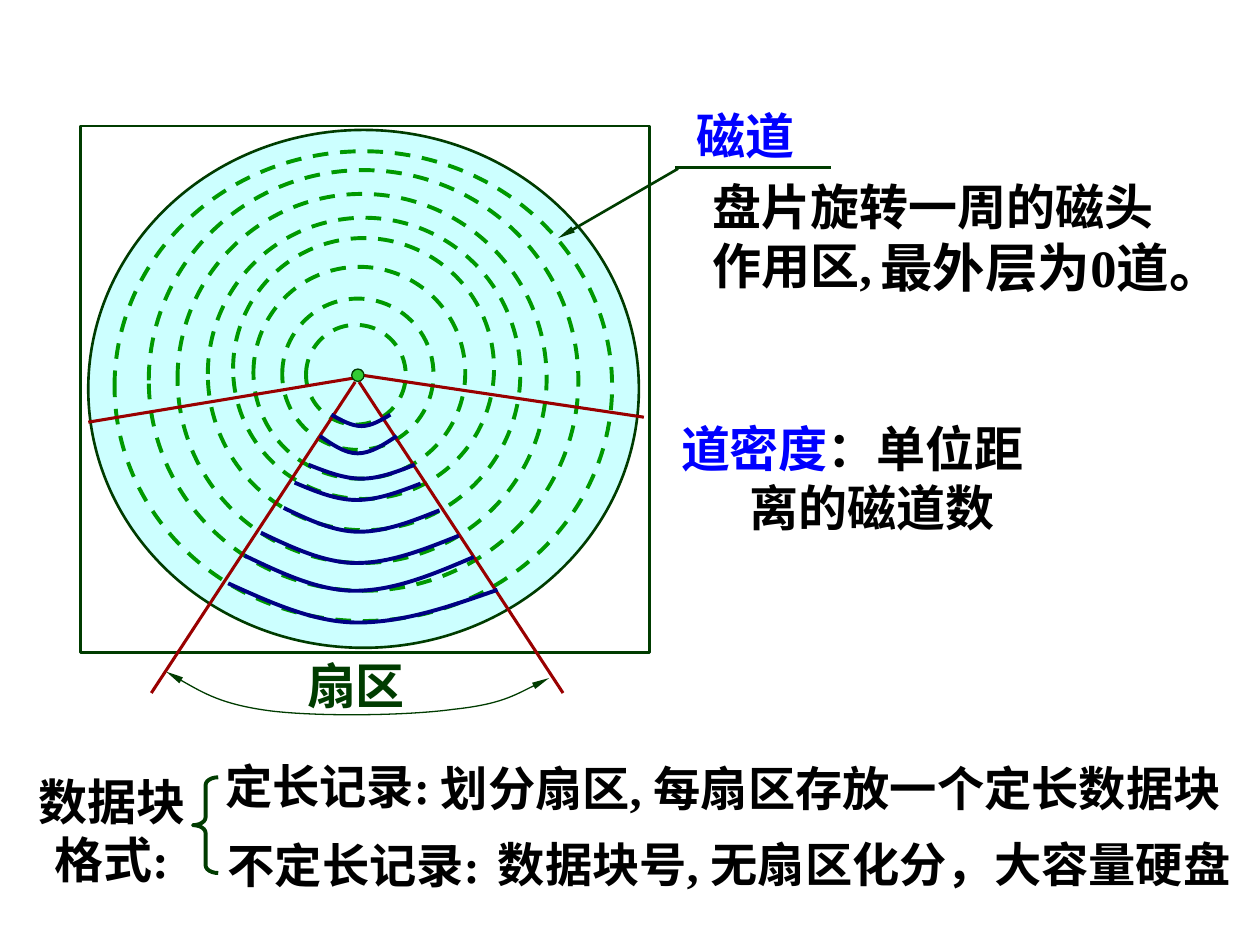
from dataclasses import dataclass
from typing import NamedTuple

import pptx
import pptx.dml.color
import pptx.enum.dml
import pptx.enum.shapes
import pptx.enum.text
import pptx.oxml.ns
import pptx.util
from lxml import etree

Cm = pptx.util.Cm
Pt = pptx.util.Pt
RGB = pptx.dml.color.RGBColor
SHAPE = pptx.enum.shapes.MSO_SHAPE
qn = pptx.oxml.ns.qn


@dataclass(frozen=True)
class Theme:
    font: str = "Times New Roman"
    label_size: float = 28
    note_size: float = 30
    record_size: float = 27
    text: RGB = RGB(0, 0, 0)
    term: RGB = RGB(0, 0, 0xFF)
    outline: RGB = RGB(0, 0x3C, 0)
    platter: RGB = RGB(0xCC, 0xFF, 0xFF)
    track: RGB = RGB(0, 0x99, 0)
    hub: RGB = RGB(0x33, 0xCC, 0x33)
    radius: RGB = RGB(0x99, 0, 0)
    block: RGB = RGB(0, 0, 0x84)


class Box(NamedTuple):
    left: float
    top: float
    width: float
    height: float

    def lengths(self):
        return [Cm(value) for value in self]


class Point(NamedTuple):
    x: float
    y: float


class BlockArc(NamedTuple):
    """A sagging arc across the sector: left end, lowest point, right end."""
    left: Point
    bottom: Point
    right: Point


THEME = Theme()

TRACKS = [
    Box(2.31, 3.05, 10.03, 9.47), Box(3, 3.43, 8.66, 8.48),
    Box(4.19, 4.39, 6.3, 6.3), Box(3.58, 3.91, 7.44, 7.44),
    Box(4.7, 4.8, 5.26, 5.26), Box(5.11, 5.38, 4.27, 4.27),
    Box(5.69, 6.02, 3.05, 3.05), Box(6.17, 6.55, 2.01, 2.01),
]
BLOCK_ARCS = [
    BlockArc(Point(5.94, 9.73), Point(7.19, 10.08), Point(8.48, 9.75)),
    BlockArc(Point(5.72, 10.24), Point(7.24, 10.72), Point(8.86, 10.29)),
    BlockArc(Point(5.26, 10.74), Point(7.19, 11.35), Point(9.25, 10.8)),
    BlockArc(Point(4.93, 11.2), Point(7.16, 11.91), Point(9.55, 11.23)),
    BlockArc(Point(4.6, 11.76), Point(7.21, 12.55), Point(10.03, 11.89)),
    BlockArc(Point(6.22, 9.37), Point(7.29, 9.65), Point(8.36, 9.37)),
    BlockArc(Point(6.45, 8.79), Point(7.21, 9.14), Point(8, 8.79)),
    BlockArc(Point(6.68, 8.36), Point(7.29, 8.59), Point(7.87, 8.36)),
]
SECTOR_EDGES = [
    (Point(7.16, 7.7), Point(3.05, 13.97)),
    (Point(7.24, 7.7), Point(11.35, 13.97)),
]
SIDE_RADII = [
    (Point(7.14, 7.62), Point(1.78, 8.51)),
    (Point(7.34, 7.57), Point(12.98, 8.41)),
]
SECTOR_SPAN = [
    Point(11.07, 13.67), Point(10.57, 13.92), Point(10.08, 14.2),
    Point(9.14, 14.3), Point(8.2, 14.43), Point(6.4, 14.45),
    Point(5.44, 14.33), Point(4.47, 14.2), Point(3.91, 13.87),
    Point(3.35, 13.54),
]


def style_line(shape, color: RGB, width: float, dashed=False, ends=()) -> None:
    """Format a line; ends may hold "headEnd" and "tailEnd", in that order."""
    shape.line.color.rgb = color
    shape.line.width = Pt(width)
    if dashed:
        shape.line.dash_style = pptx.enum.dml.MSO_LINE.DASH
    for end in ends:
        etree.SubElement(shape._element.spPr.find(qn("a:ln")), qn("a:" + end),
                         type="triangle", w="sm", len="lg")


def draw_shape(shapes, kind, box: Box, color: RGB, width: float,
               fill: RGB = None, dashed=False):
    shape = shapes.add_shape(kind, *box.lengths())
    shape.shadow.inherit = False
    if fill is None:
        shape.fill.background()
    else:
        shape.fill.solid()
        shape.fill.fore_color.rgb = fill
    style_line(shape, color, width, dashed)
    return shape


def draw_line(shapes, start: Point, end: Point, color: RGB, width: float,
              ends=()) -> None:
    line = shapes.add_connector(pptx.enum.shapes.MSO_CONNECTOR.STRAIGHT,
                                Cm(start.x), Cm(start.y), Cm(end.x), Cm(end.y))
    style_line(line, color, width, ends=ends)
    etree.SubElement(line._element.spPr, qn("a:effectLst"))


def draw_curve(shapes, points: list[Point], color: RGB, width: float,
               ends=()) -> None:
    """Draw joined cubic Bézier curves: a start, then three points for each."""
    start, *rest = [(Cm(point.x), Cm(point.y)) for point in points]
    builder = shapes.build_freeform(*start)
    builder.add_line_segments(rest, close=False)
    curve = builder.convert_to_shape()
    segments = list(curve._element.iter(qn("a:lnTo")))
    for first in range(0, len(segments), 3):
        bezier = etree.Element(qn("a:cubicBezTo"))
        segments[first].addprevious(bezier)
        for segment in segments[first:first + 3]:
            bezier.append(segment[0])
            segment.getparent().remove(segment)
    curve.shadow.inherit = False
    curve.fill.background()
    style_line(curve, color, width, ends=ends)


def draw_block_arc(shapes, arc: BlockArc) -> None:
    def half(end: Point) -> list[Point]:
        dx = (arc.bottom.x - end.x) / 3
        return [end, Point(end.x + dx, (end.y + arc.bottom.y) / 2),
                Point(end.x + 2 * dx, arc.bottom.y)]

    points = half(arc.left) + [arc.bottom] + half(arc.right)[::-1]
    draw_curve(shapes, points, THEME.block, 2.25)


def add_text(shapes, box: Box, text: str, *, size=THEME.label_size,
             color=THEME.text, term="", align=None, margin=0.0,
             indent=0.0) -> None:
    """Add a bold text box; term is a leading part in the term colour."""
    frame = shapes.add_textbox(*box.lengths()).text_frame
    frame.word_wrap = True
    frame.auto_size = pptx.enum.text.MSO_AUTO_SIZE.SHAPE_TO_FIT_TEXT
    paragraph = frame.paragraphs[0]
    paragraph.alignment = align
    if margin or indent:
        properties = paragraph._p.get_or_add_pPr()
        properties.set("marL", str(Cm(margin)))
        properties.set("indent", str(Cm(indent)))
    for part, part_color in ((term, THEME.term), (text, color)):
        if part:
            run = paragraph.add_run()
            run.text = part
            run.font.name = THEME.font
            run.font.size = Pt(size)
            run.font.bold = True
            run.font.color.rgb = part_color


def draw_disk(shapes) -> None:
    platter = shapes.add_group_shape().shapes
    draw_shape(platter, SHAPE.RECTANGLE, Box(1.63, 2.54, 11.46, 10.62),
               THEME.outline, 1.5)
    draw_shape(platter, SHAPE.OVAL, Box(1.78, 2.62, 11.1, 10.44),
               THEME.outline, 1.5, fill=THEME.platter)
    for track in TRACKS:
        draw_shape(shapes, SHAPE.OVAL, track, THEME.track, 2.25, dashed=True)
    sector = shapes.add_group_shape().shapes
    for start, end in SECTOR_EDGES:
        draw_line(sector, start, end, THEME.radius, 1.75)
    draw_curve(shapes, SECTOR_SPAN, THEME.outline, 0.75,
               ends=("headEnd", "tailEnd"))
    add_text(shapes, Box(5.94, 13.08, 3.58, 1.45), "扇区", color=THEME.outline)
    for start, end in SIDE_RADII:
        draw_line(shapes, start, end, THEME.radius, 1.75)
    blocks = shapes.add_group_shape().shapes
    for arc in BLOCK_ARCS:
        draw_block_arc(blocks, arc)
    draw_shape(shapes, SHAPE.OVAL, Box(7.09, 7.44, 0.25, 0.25),
               THEME.outline, 0.75, fill=THEME.hub)


def draw_track_notes(shapes) -> None:
    draw_line(shapes, Point(13.61, 3.38), Point(16.76, 3.38), THEME.outline, 1.5)
    draw_line(shapes, Point(13.67, 3.4), Point(11.25, 4.8), THEME.outline, 1.5,
              ends=("tailEnd",))
    add_text(shapes, Box(13.79, 2.01, 3.58, 1.45), "磁道", color=THEME.term)
    add_text(shapes, Box(14.12, 3.43, 10.13, 2.62), "盘片旋转一周的磁头作用区,")
    add_text(shapes, Box(17.5, 4.62, 7.57, 1.52), "最外层为0道。",
             size=THEME.note_size)
    add_text(shapes, Box(13.26, 8.31, 8.05, 2.64), "：单位距离的磁道数",
             term="道密度", margin=1.6, indent=-1.38)


def draw_block_formats(shapes) -> None:
    size = THEME.record_size
    add_text(shapes, Box(4.29, 15.14, 5.84, 1.4), "定长记录:", size=size)
    add_text(shapes, Box(0.28, 15.42, 3.94, 2.62), "数据块格式:",
             align=pptx.enum.text.PP_ALIGN.CENTER)
    brace = draw_shape(shapes, SHAPE.LEFT_BRACE, Box(3.89, 15.67, 0.51, 1.93),
                       THEME.outline, 2.25)
    brace.adjustments[0] = 0.31
    add_text(shapes, Box(4.34, 16.74, 6.96, 1.4), "不定长记录:", size=size)
    add_text(shapes, Box(8.64, 15.19, 16.79, 1.4),
             "划分扇区, 每扇区存放一个定长数据块", size=size)
    add_text(shapes, Box(9.55, 16.71, 15.72, 1.42),
             "数据块号, 无扇区化分，大容量硬盘", size=size, indent=0.24)


def main() -> None:
    deck = pptx.Presentation()
    deck.slide_width, deck.slide_height = Cm(25.4), Cm(19.05)
    shapes = deck.slides.add_slide(deck.slide_layouts[6]).shapes
    draw_disk(shapes)
    draw_track_notes(shapes)
    draw_block_formats(shapes)
    deck.save("out.pptx")


if __name__ == "__main__":
    main()
